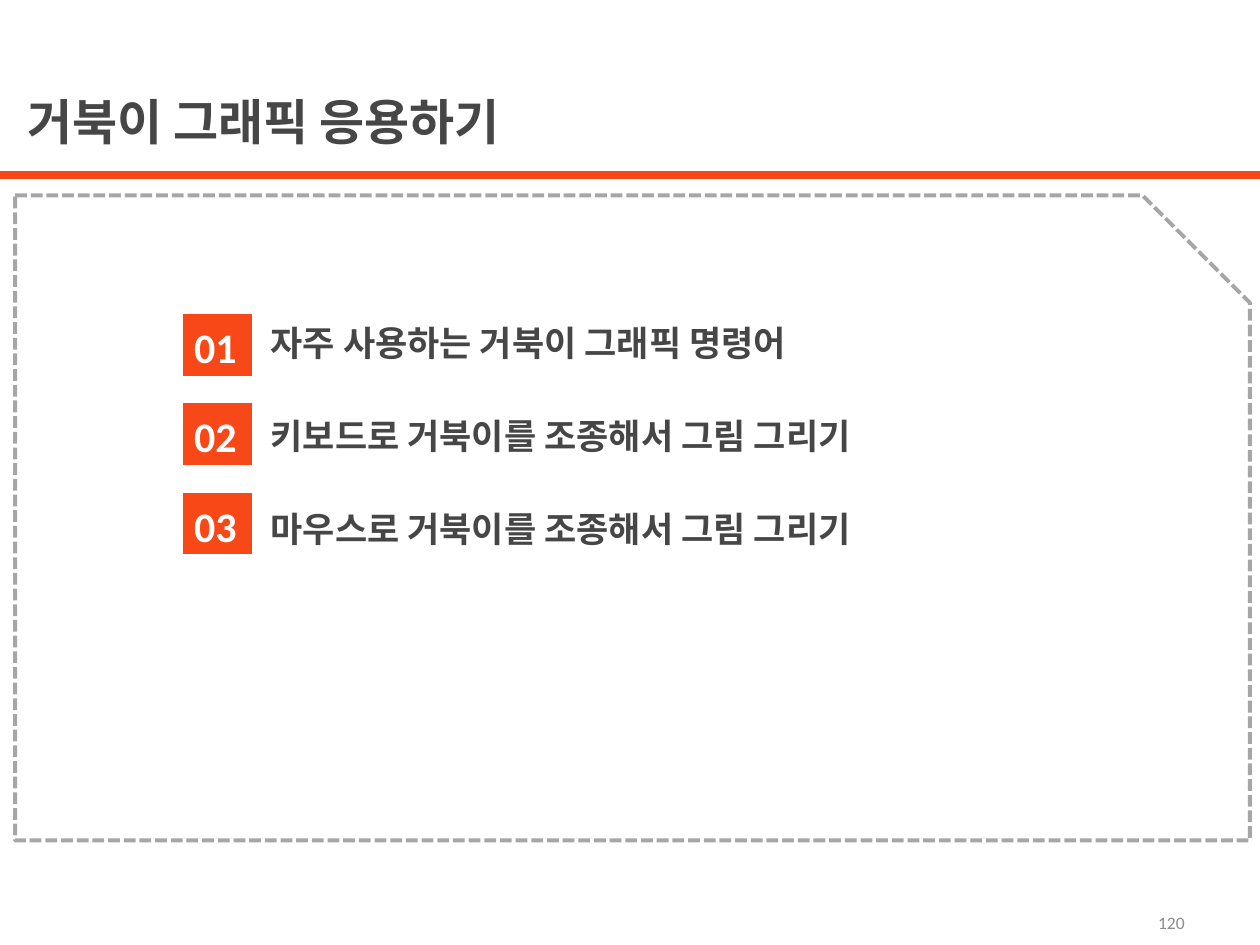
from lxml import etree
from pptx import Presentation
from pptx import util as u
from pptx.dml.color import RGBColor
from pptx.enum import dml, shapes, text
from pptx.oxml.ns import qn

SCALE = 9144
FONT = "Calibri"
COLORS = {
    "accent": "F84818",
    "ink": "464646",
    "frame": "A6A6A6",
    "page": "8D8D8D",
    "white": "FFFFFF",
}
TOPICS = [
    "자주 사용하는 거북이 그래픽 명령어",
    "키보드로 거북이를 조종해서 그림 그리기",
    "마우스로 거북이를 조종해서 그림 그리기",
]


def px(value):
    return u.Emu(value * SCALE)


def color(name):
    return RGBColor.from_string(COLORS[name])


def add_text(slide, box, lines, size, color_name, bold=True,
             align=text.PP_ALIGN.LEFT, anchor=text.MSO_ANCHOR.TOP,
             spacing=None, gap=0):
    shape = slide.shapes.add_textbox(*map(px, box))
    frame = shape.text_frame
    frame.word_wrap = True
    frame.vertical_anchor = anchor
    for index, line in enumerate(lines):
        paragraph = frame.add_paragraph() if index else frame.paragraphs[0]
        paragraph.alignment = align
        if spacing:
            paragraph.line_spacing = spacing
        if index and gap:
            paragraph.space_before = u.Pt(gap)
        run = paragraph.add_run()
        run.text = line
        run.font.name = FONT
        run.font.size = u.Pt(size)
        run.font.bold = bold
        run.font.color.rgb = color(color_name)


def add_header(slide, box):
    left, top, width, height = box
    add_text(slide, (left + 12, top, width - 55, height - 14),
             ["거북이 그래픽 응용하기"], 28, "ink")
    bottom = top + height
    rule = slide.shapes.add_connector(
        shapes.MSO_CONNECTOR.STRAIGHT,
        px(left), px(bottom), px(left + width), px(bottom))
    rule.line.color.rgb = color("accent")
    rule.line.width = u.Pt(4.5)
    etree.SubElement(rule._element.spPr, qn("a:effectLst"))


def add_frame(slide, box):
    shape = slide.shapes.add_shape(
        shapes.MSO_SHAPE.SNIP_1_RECTANGLE, *map(px, box))
    shape.shadow.inherit = False
    shape.fill.background()
    shape.line.color.rgb = color("frame")
    shape.line.width = u.Pt(2.25)
    shape.line.dash_style = dml.MSO_LINE.SQUARE_DOT


def add_number(slide, box, number):
    left, top, width, height = box
    square = slide.shapes.add_shape(
        shapes.MSO_SHAPE.FLOWCHART_PROCESS, *map(px, box))
    square.shadow.inherit = False
    square.fill.solid()
    square.fill.fore_color.rgb = color("accent")
    square.line.fill.background()
    add_text(slide, (left - 11, top + 1, width + 19, height + 1),
             [f"{number:02d}"], 24, "white", align=text.PP_ALIGN.CENTER)


def add_agenda(slide, box):
    left, top, width, height = box
    for index in range(len(TOPICS)):
        add_number(slide, (left, top + 2 + index * 71, 55, 49), index + 1)
    add_text(slide, (left + 60, top, width - 60, height), TOPICS, 20, "ink",
             spacing=1.1, gap=26.8)


def add_page_number(slide, box):
    add_text(slide, box, ["120"], 10, "page", bold=False,
             align=text.PP_ALIGN.RIGHT, anchor=text.MSO_ANCHOR.MIDDLE)


def main():
    presentation = Presentation()
    presentation.slide_width = px(1000)
    presentation.slide_height = px(750)
    slide = presentation.slides.add_slide(presentation.slide_layouts[6])
    add_header(slide, (0, 68, 1000, 71))
    add_frame(slide, (12, 155, 980, 512))
    add_agenda(slide, (145, 247, 757, 195))
    add_page_number(slide, (717, 716, 233, 32))
    presentation.save("out.pptx")


if __name__ == "__main__":
    main()
